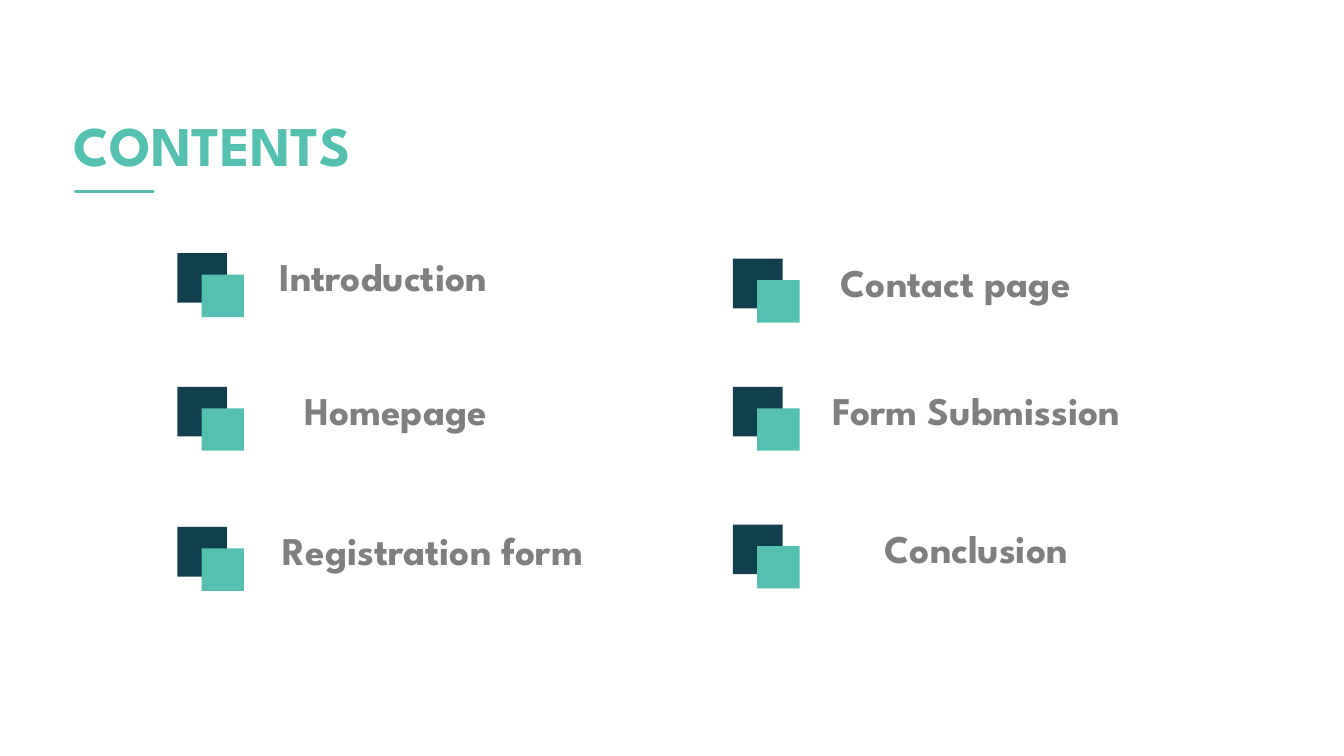
"""Build a contents slide with six topics marked by overlapping squares."""
from lxml import etree
from pptx import Presentation
from pptx import util as u
from pptx.dml.color import RGBColor
from pptx.enum import shapes, text
from pptx.oxml.ns import qn

COLORS = {"teal": "55C0AF", "navy": "113F4E", "gray": "7F7F7F"}
FONT = "League Spartan"


def add_label(parent, words, left, top, width, height, size, color):
    box = parent.add_textbox(u.Cm(left), u.Cm(top), u.Cm(width), u.Cm(height))
    box.text_frame.word_wrap = True
    para = box.text_frame.paragraphs[0]
    para.text = words
    para.alignment = text.PP_ALIGN.CENTER
    para.font.name = FONT
    para.font.size = u.Pt(size)
    para.font.bold = True
    para.font.color.rgb = RGBColor.from_string(COLORS[color])


def add_square(parent, left, top, side, color):
    square = parent.add_shape(
        shapes.MSO_SHAPE.RECTANGLE, u.Cm(left), u.Cm(top), u.Cm(side), u.Cm(side))
    square.shadow.inherit = False
    square.fill.solid()
    square.fill.fore_color.rgb = RGBColor.from_string(COLORS[color])
    square.line.fill.background()


deck = Presentation()
deck.slide_width = u.Inches(13.333)
deck.slide_height = u.Inches(7.5)
page = deck.slides.add_slide(deck.slide_layouts[6])

add_label(page.shapes, "CONTENTS", 1.55, 2.67, 7.59, 1.96, 40, "teal")

underline = page.shapes.add_connector(
    shapes.MSO_CONNECTOR.STRAIGHT, u.Cm(1.9), u.Cm(4.83), u.Cm(3.86), u.Cm(4.83))
underline.line.color.rgb = RGBColor.from_string(COLORS["teal"])
underline.line.width = u.Pt(2.25)
underline.line._get_or_add_ln().set("cap", "rnd")
etree.SubElement(underline._element.spPr, qn("a:effectLst"))

LEFT_COLUMN, RIGHT_COLUMN = 4.47, 18.47
topics = [
    ("Introduction", LEFT_COLUMN, 6.38, 6.5, 6.32),
    ("Contact page", RIGHT_COLUMN, 6.52, 20.42, 7.32),
    ("Homepage ", LEFT_COLUMN, 9.75, 6.48, 7.24),
    ("Form Submission", RIGHT_COLUMN, 9.75, 20.17, 8.86),
    ("Registration form", LEFT_COLUMN, 13.28, 6.48, 8.86),
    ("Conclusion", RIGHT_COLUMN, 13.22, 20.17, 8.86),
]
for words, left, top, label_left, label_width in topics:
    topic = page.shapes.add_group_shape().shapes
    add_label(topic, words, label_left, top - 0.14, label_width, 1.45, 28, "gray")
    add_square(topic, left, top, 1.25, "navy")
    add_square(topic, left + 0.61, top + 0.54, 1.07, "teal")

deck.save("out.pptx")
